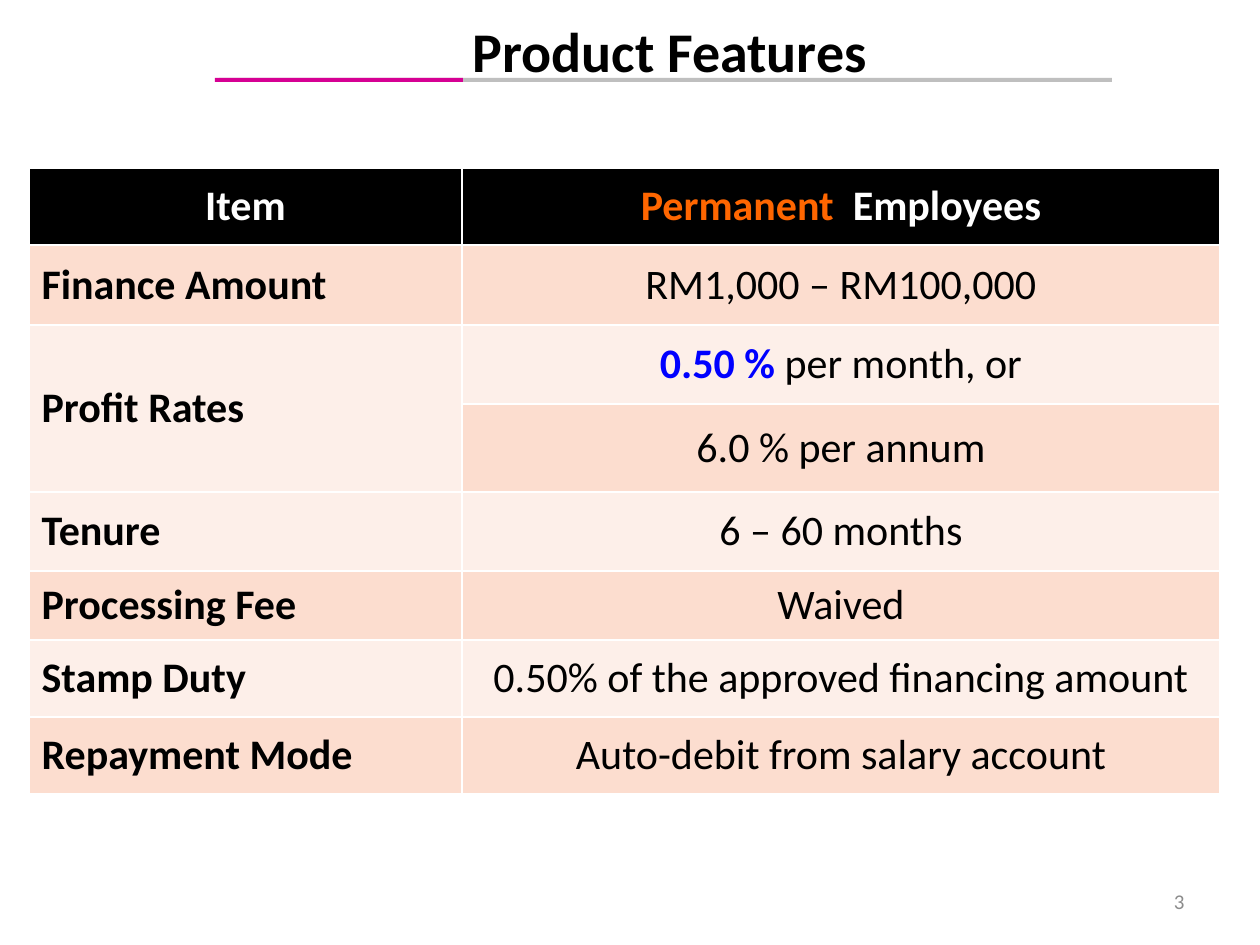
from pptx import Presentation
from pptx.dml.color import RGBColor
from pptx.enum.shapes import MSO_SHAPE as Shape
from pptx.enum.text import MSO_ANCHOR as Anchor, PP_ALIGN as Align
from pptx.util import Pt

PX = 914400 // 126  # EMU in one px
FONT = "Calibri"
BLACK, WHITE, ORANGE, BLUE = "000000", "FFFFFF", "FF6600", "0000FF"
BANDS = ("FDEFE9", "FCDDCF")  # even and odd table rows

# Content: a cell is plain text or a list of (text, colour, bold) runs
TITLE = "Product Features"
PAGE_NUMBER = "3"
HEADER = ("Item", [("Permanent ", ORANGE, True), (" Employees", WHITE, True)])
ROWS = [
    ("Finance Amount", "RM1,000 – RM100,000"),
    ("Profit Rates", [("0.50 % ", BLUE, True), ("per month, or", BLACK, False)]),
    (None, "6.0 % per annum"),  # joined with the label above
    ("Tenure", "6 – 60 months"),
    ("Processing Fee", "Waived"),
    ("Stamp Duty", "0.50% of the approved financing amount"),
    ("Repayment Mode", "Auto-debit from salary account"),
]

# Layout in px
TABLE_LEFT, TABLE_TOP = 29, 168
COLUMN_WIDTHS = (433, 758)
ROW_HEIGHTS = (77, 80, 79, 88, 79, 69, 77, 77)
TITLE_BOX = (217, 10, 906, 81)
NUMBER_BOX = (903, 876, 294, 50)
RULES = [((219, 78, 893, 4), "BFBFBF"), ((215, 78, 248, 4), "D60093")]


def emu(*lengths):
    return [length * PX for length in lengths]


def rgb(value):
    return RGBColor.from_string(value)


def write(frame, text, size=24, color=BLACK, bold=False, align=Align.CENTER):
    runs = [(text, color, bold)] if isinstance(text, str) else text
    para = frame.paragraphs[0]
    para.alignment = align
    for words, run_color, run_bold in runs:
        span = para.add_run()
        span.text = words
        span.font.name = FONT
        span.font.size = Pt(size)
        span.font.bold = run_bold
        span.font.color.rgb = rgb(run_color)


def add_text(page, place, text, anchor=Anchor.TOP, **style):
    frame = page.shapes.add_textbox(*emu(*place)).text_frame
    frame.word_wrap = True
    frame.vertical_anchor = anchor
    write(frame, text, **style)


def add_features(page):
    size = emu(TABLE_LEFT, TABLE_TOP, sum(COLUMN_WIDTHS), sum(ROW_HEIGHTS))
    table = page.shapes.add_table(len(ROW_HEIGHTS), len(COLUMN_WIDTHS), *size).table
    for column, width in zip(table.columns, emu(*COLUMN_WIDTHS)):
        column.width = width
    for row, height in zip(table.rows, emu(*ROW_HEIGHTS)):
        row.height = height

    for r, texts in enumerate([HEADER, *ROWS]):
        for c, text in enumerate(texts):
            cell = table.cell(r, c)
            cell.vertical_anchor = Anchor.MIDDLE
            cell.fill.solid()
            cell.fill.fore_color.rgb = rgb(BANDS[r % 2] if r else BLACK)
            if text is None:
                table.cell(r - 1, c).merge(cell)
            elif r == 0:
                write(cell.text_frame, text, color=WHITE, bold=True)
            elif c == 0:
                write(cell.text_frame, text, bold=True, align=Align.LEFT)
            else:
                write(cell.text_frame, text)


def main():
    deck = Presentation()
    deck.slide_width, deck.slide_height = emu(1260, 945)
    page = deck.slides.add_slide(deck.slide_layouts[6])

    # Page number and table
    add_text(page, NUMBER_BOX, PAGE_NUMBER, anchor=Anchor.MIDDLE,
             size=12, color="8C8C8C", align=Align.RIGHT)
    add_features(page)

    # Title with its two-tone rule
    add_text(page, TITLE_BOX, TITLE, size=32, bold=True)
    for place, color in RULES:
        rule = page.shapes.add_shape(Shape.RECTANGLE, *emu(*place))
        rule.shadow.inherit = False
        rule.fill.solid()
        rule.fill.fore_color.rgb = rgb(color)
        rule.line.fill.background()

    deck.save("out.pptx")


if __name__ == "__main__":
    main()
